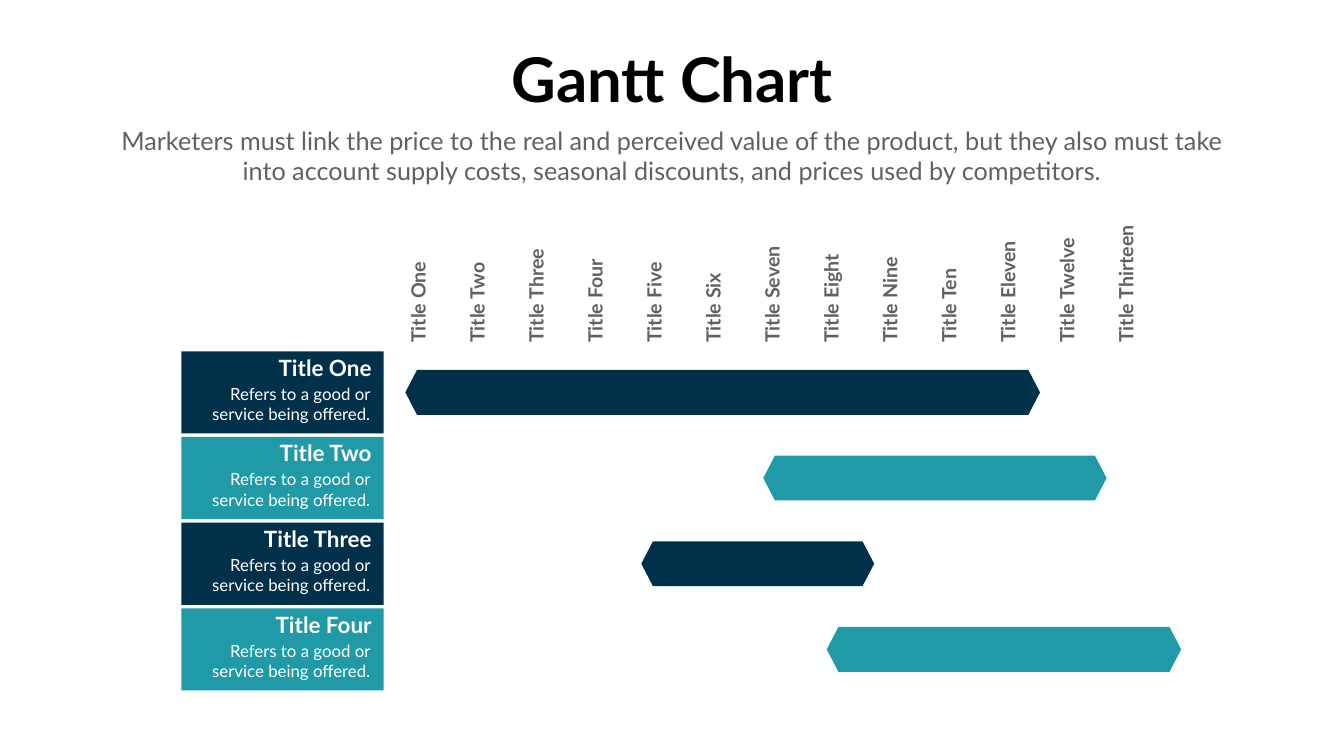
from pptx import Presentation
from pptx.dml.color import RGBColor
from pptx.enum.shapes import MSO_SHAPE
from pptx.enum.text import MSO_ANCHOR, PP_ALIGN
from pptx.util import Inches, Pt

RECTANGLE, HEXAGON = MSO_SHAPE.RECTANGLE, MSO_SHAPE.HEXAGON
TOP = MSO_ANCHOR.TOP
LEFT, CENTER, RIGHT = PP_ALIGN.LEFT, PP_ALIGN.CENTER, PP_ALIGN.RIGHT
NAVY, TEAL, GREY, WHITE = "01304B", "209AA6", "616161", "FEFFFF"

ROW_TOP, ROW_STEP, ROW_HEIGHT = 6.97, 1.7, 1.63
COLUMN_CENTER, COLUMN_STEP, COLUMN_BOTTOM = 8.29, 1.17, 6.9
HEADING_LENGTH, HEADING_HEIGHT = 2.6, 0.57

deck = Presentation()
deck.slide_width, deck.slide_height = Inches(26.66), Inches(15)
page = deck.slides.add_slide(deck.slide_layouts[5])
page.background.fill.solid()
page.background.fill.fore_color.rgb = RGBColor.from_string(WHITE)


def write(box, place, text, size, color, align, bold=False, wrap=True):
    """Move a text box or placeholder to its place and fill in its text."""
    box.left, box.top, box.width, box.height = map(Inches, place)
    frame = box.text_frame
    frame.word_wrap = wrap
    frame.vertical_anchor = TOP
    frame.text = text
    para = frame.paragraphs[0]
    para.alignment = align
    para.font.name, para.font.size, para.font.bold = "Lato", Pt(size), bold
    para.font.color.rgb = RGBColor.from_string(color)


def add_block(kind, place, color):
    block = page.shapes.add_shape(kind, *map(Inches, place))
    block.shadow.inherit = False
    block.fill.solid()
    block.fill.fore_color.rgb = RGBColor.from_string(color)
    block.line.fill.background()
    return block


write(page.shapes.title, (9.97, 0.76, 6.73, 1.58), "Gantt Chart",
      88, "000000", CENTER, bold=True, wrap=False)
write(page.shapes.add_textbox(0, 0, 0, 0), (2.22, 2.43, 22.21, 1.31),
      "Marketers must link the price to the real and perceived value of the "
      "product, but they also must take into account supply costs, seasonal "
      "discounts, and prices used by competitors.", 36, GREY, CENTER)

# Column headings read upwards and start on a common line
headings = ["One", "Two", "Three", "Four", "Five", "Six", "Seven", "Eight",
            "Nine", "Ten", "Eleven", "Twelve", "Thirteen"]
for index, heading in enumerate(headings):
    center = COLUMN_CENTER + index * COLUMN_STEP
    place = (center - HEADING_LENGTH / 2,
             COLUMN_BOTTOM - HEADING_LENGTH / 2 - HEADING_HEIGHT / 2,
             HEADING_LENGTH, HEADING_HEIGHT)
    box = page.shapes.add_textbox(0, 0, 0, 0)
    write(box, place, f"Title {heading}", 28, GREY, LEFT, bold=True)
    box.rotation = 270

# Tasks: name, bar start, bar length, colour
tasks = [
    ("Title One", 8.04, 12.59, NAVY),
    ("Title Two", 15.14, 6.81, TEAL),
    ("Title Three", 12.72, 4.62, NAVY),
    ("Title Four", 16.4, 7.03, TEAL),
]
for index, (name, start, length, color) in enumerate(tasks):
    top = ROW_TOP + index * ROW_STEP
    add_block(RECTANGLE, (3.6, top, 4.01, ROW_HEIGHT), color)
    bar = add_block(HEXAGON, (start, top + 0.37, length, 0.89), color)
    bar.adjustments[0] = 0.26
    write(page.shapes.add_textbox(0, 0, 0, 0), (4.07, top, 3.4, 0.64),
          name, 32, "FFFFFF", RIGHT, bold=True)
    write(page.shapes.add_textbox(0, 0, 0, 0), (4.04, top + 0.59, 3.4, 0.91),
          "Refers to a good or service being offered.", 24, "FFFFFF", RIGHT)

deck.save("out.pptx")
